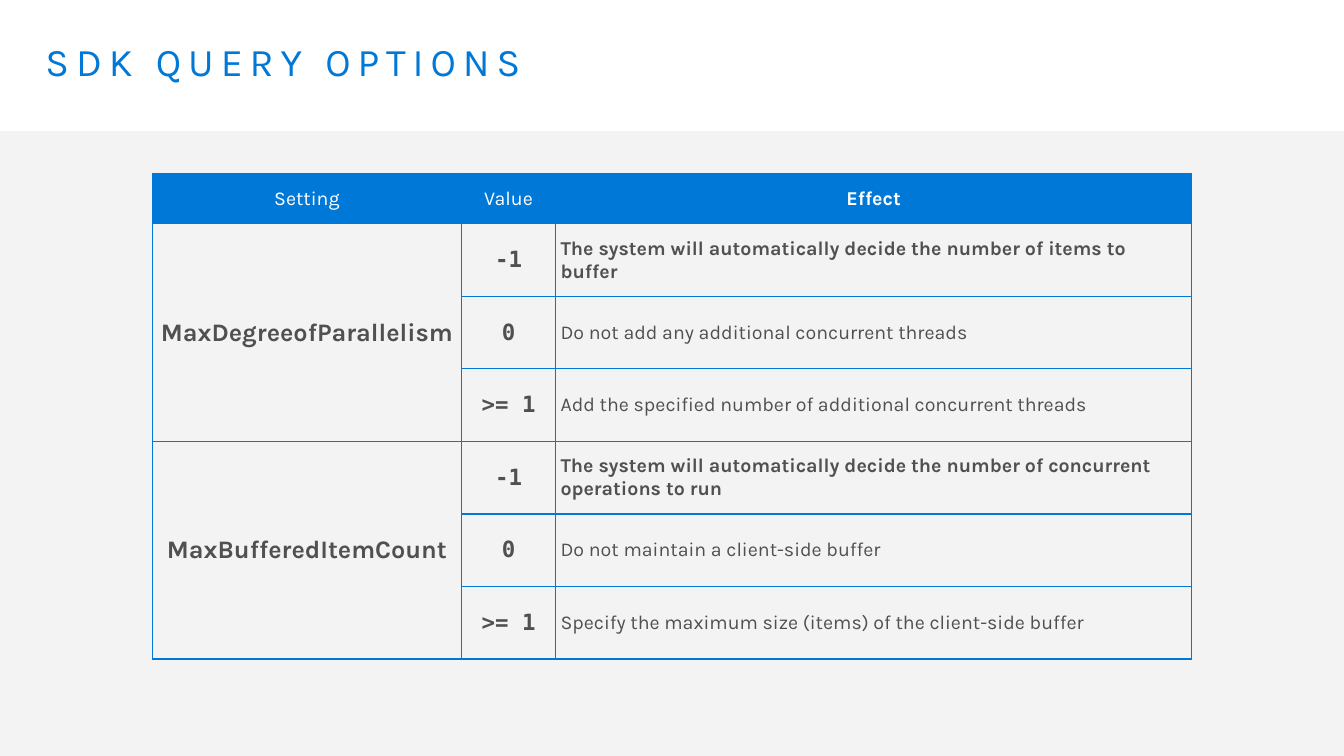
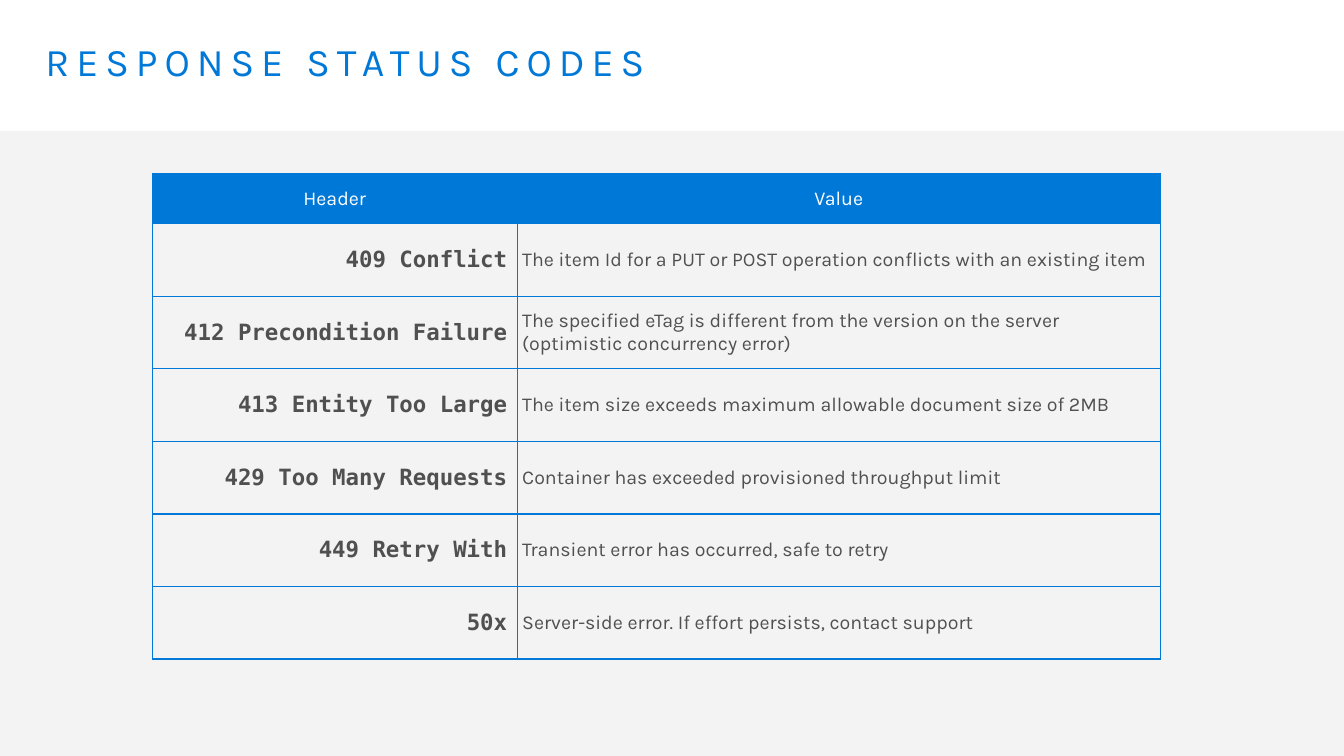
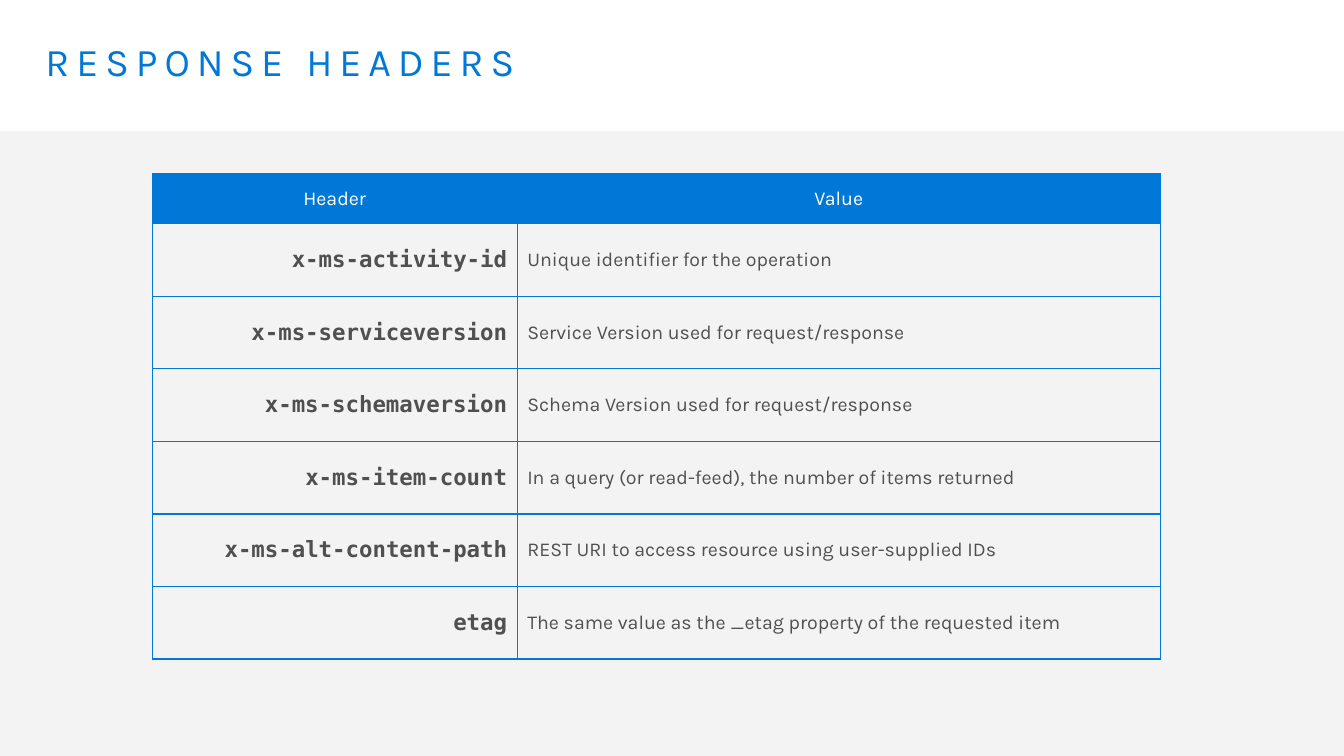
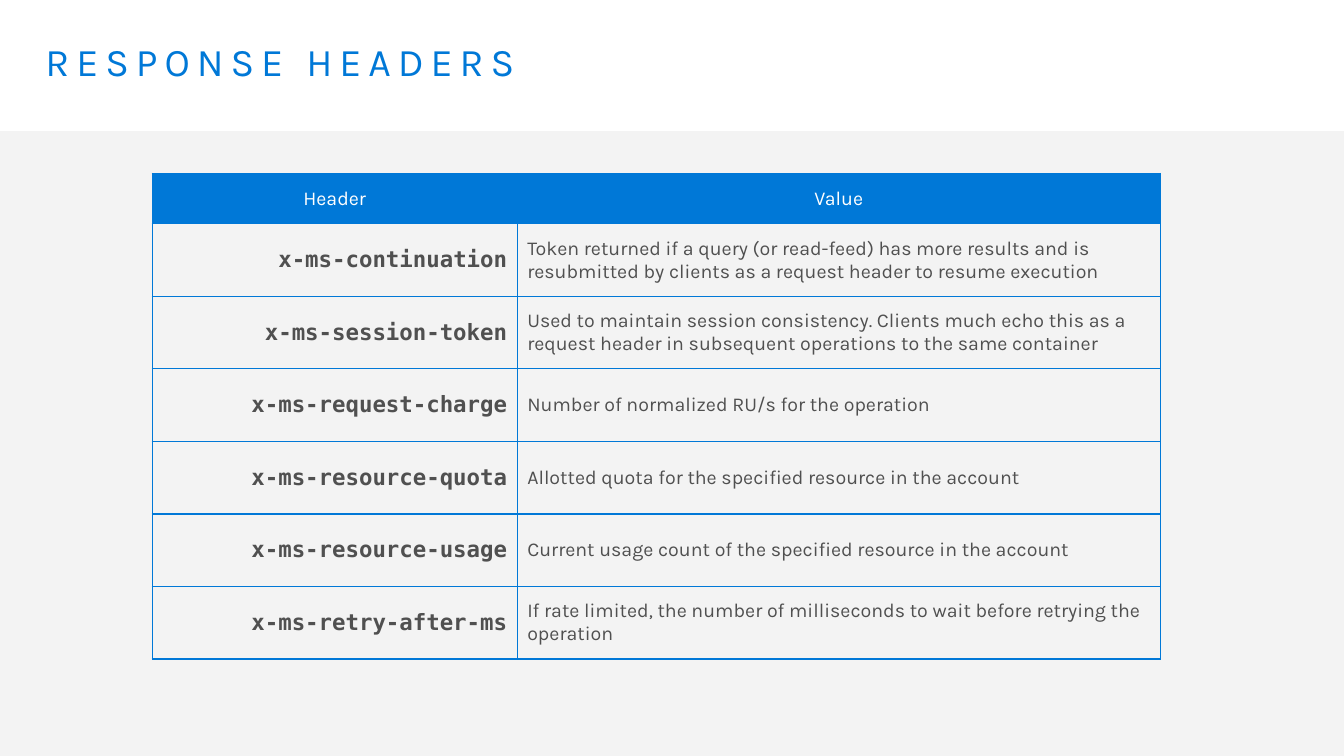
import pptx
import pptx.dml.color
import pptx.enum.shapes
import pptx.enum.text
import pptx.oxml
import pptx.oxml.ns
import pptx.util

Inches = pptx.util.Inches
Pt = pptx.util.Pt
RGBColor = pptx.dml.color.RGBColor
ALIGN = pptx.enum.text.PP_ALIGN

# Shared colours and fonts
BLUE = RGBColor(0x00, 0x78, 0xD7)
GRAY = RGBColor(0x50, 0x50, 0x50)
PALE = RGBColor(0xF3, 0xF3, 0xF3)
WHITE = RGBColor(0xFF, 0xFF, 0xFF)
SANS = "Karla"
MONO = "DejaVu Sans Mono"

# Text formats: font values, then colour
TITLE = {"name": SANS, "size": Pt(28), "bold": False}, BLUE
HEAD = {"name": SANS, "size": Pt(14), "bold": False}, WHITE
HEAD_BOLD = {"name": SANS, "size": Pt(14), "bold": True}, WHITE
SETTING = {"name": SANS, "size": Pt(18), "bold": True}, GRAY
CODE = {"name": MONO, "size": Pt(16), "bold": True}, GRAY
BODY = {"name": SANS, "size": Pt(14), "bold": False}, GRAY
BODY_BOLD = {"name": SANS, "size": Pt(14), "bold": True}, GRAY

# Table geometry, in inches
TABLE_LEFT, TABLE_TOP = 1.51, 1.72
HEAD_HEIGHT, ROW_HEIGHT = 0.5, 0.72
NARROW, WIDE = 0.05, 0.1

OPTIONS = [
    ("MaxDegreeofParallelism", [
        ("-1", "The system will automatically decide the number of items to buffer"),
        ("0", "Do not add any additional concurrent threads"),
        (">= 1", "Add the specified number of additional concurrent threads"),
    ]),
    ("MaxBufferedItemCount", [
        ("-1", "The system will automatically decide the number of concurrent operations to run"),
        ("0", "Do not maintain a client-side buffer"),
        (">= 1", "Specify the maximum size (items) of the client-side buffer"),
    ]),
]

STATUS_CODES = [
    ("409 Conflict", "The item Id for a PUT or POST operation conflicts with an existing item"),
    ("412 Precondition Failure", "The specified eTag is different from the version on the server "
                                 "(optimistic concurrency error)"),
    ("413 Entity Too Large", "The item size exceeds maximum allowable document size of 2MB"),
    ("429 Too Many Requests", "Container has exceeded provisioned throughput limit"),
    ("449 Retry With", "Transient error has occurred, safe to retry"),
    ("50x", "Server-side error. If effort persists, contact support"),
]

ITEM_HEADERS = [
    ("x-ms-activity-id", "Unique identifier for the operation"),
    ("x-ms-serviceversion", "Service Version used for request/response"),
    ("x-ms-schemaversion", "Schema Version used for request/response"),
    ("x-ms-item-count", "In a query (or read-feed), the number of items returned"),
    ("x-ms-alt-content-path", "REST URI to access resource using user-supplied IDs"),
    ("etag", "The same value as the _etag property of the requested item"),
]

USAGE_HEADERS = [
    ("x-ms-continuation", "Token returned if a query (or read-feed) has more results and is "
                          "resubmitted by clients as a request header to resume execution"),
    ("x-ms-session-token", "Used to maintain session consistency. Clients much echo this as a "
                           "request header in subsequent operations to the same container"),
    ("x-ms-request-charge", "Number of normalized RU/s for the operation"),
    ("x-ms-resource-quota", "Allotted quota for the specified resource in the account"),
    ("x-ms-resource-usage", "Current usage count of the specified resource in the account"),
    ("x-ms-retry-after-ms", "If rate limited, the number of milliseconds to wait before "
                            "retrying the operation"),
]


def write(p, text, fmt, align=ALIGN.LEFT):
    """Put one formatted run in a paragraph."""
    values, color = fmt
    p.alignment = align
    r = p.add_run()
    r.text = text
    for key, value in values.items():
        setattr(r.font, key, value)
    r.font.color.rgb = color
    return r


def add_slide(prs, title):
    """Add a slide with the gray content band and the spaced title."""
    s = prs.slides.add_slide(prs.slide_layouts[6])
    band = s.shapes.add_shape(pptx.enum.shapes.MSO_SHAPE.RECTANGLE,
                              0, Inches(1.3), prs.slide_width, Inches(6.2))
    band.shadow.inherit = False
    band.fill.solid()
    band.fill.fore_color.rgb = PALE
    band.line.fill.background()

    tf = s.shapes.add_textbox(Inches(0.29), Inches(0.32), Inches(12.75), Inches(0.98)).text_frame
    frame = {"word_wrap": True, "margin_left": Inches(0.16), "margin_right": Inches(0.16),
             "margin_top": Inches(0.1), "margin_bottom": Inches(0.1)}
    for key, value in frame.items():
        setattr(tf, key, value)
    p = tf.paragraphs[0]
    p.line_spacing = 0.9
    r = write(p, title, TITLE)
    r._r.get_or_add_rPr().set("spc", "500")
    return s


def add_borders(cell):
    """Draw a 1 pt blue line on all four sides."""
    for side in ("lnL", "lnR", "lnT", "lnB"):
        cell._tc.get_or_add_tcPr().append(pptx.oxml.parse_xml(
            f'<a:{side} {pptx.oxml.ns.nsdecls("a")} w="{Pt(1)}">'
            f'<a:solidFill><a:srgbClr val="{BLUE}"/></a:solidFill></a:{side}>'))


def add_grid(s, widths, rows):
    """Add a bordered table whose first row is blue."""
    height = HEAD_HEIGHT + ROW_HEIGHT * (rows - 1)
    table = s.shapes.add_table(rows, len(widths), Inches(TABLE_LEFT), Inches(TABLE_TOP),
                               Inches(sum(widths)), Inches(height)).table
    table.horz_banding = False
    for column, width in zip(table.columns, widths):
        column.width = Inches(width)
    for i, row in enumerate(table.rows):
        row.height = Inches(ROW_HEIGHT if i else HEAD_HEIGHT)
        for cell in row.cells:
            add_borders(cell)
            if i:
                cell.fill.background()
            else:
                cell.fill.solid()
                cell.fill.fore_color.rgb = BLUE
    return table


def fill_cell(cell, text, fmt, align=ALIGN.CENTER, margin=NARROW):
    layout = {"vertical_anchor": pptx.enum.text.MSO_ANCHOR.MIDDLE,
              "margin_left": Inches(margin), "margin_right": Inches(margin),
              "margin_top": Inches(NARROW), "margin_bottom": Inches(NARROW)}
    for key, value in layout.items():
        setattr(cell, key, value)
    write(cell.text_frame.paragraphs[0], text, fmt, align)


def add_options_table(s, groups):
    """Add settings that each span the rows of their values."""
    table = add_grid(s, [3.07, 0.93, 6.31], 1 + sum(len(values) for _, values in groups))
    for c, (text, fmt) in enumerate([("Setting", HEAD), ("Value", HEAD), ("Effect", HEAD_BOLD)]):
        fill_cell(table.cell(0, c), text, fmt)
    top = 1
    for setting, values in groups:
        table.cell(top, 0).merge(table.cell(top + len(values) - 1, 0))
        fill_cell(table.cell(top, 0), setting, SETTING)
        for i, (value, effect) in enumerate(values):
            fill_cell(table.cell(top + i, 1), value, CODE)
            fill_cell(table.cell(top + i, 2), effect, BODY if i else BODY_BOLD, ALIGN.LEFT)
        top += len(values)


def add_header_table(s, pairs, margin=WIDE):
    """Add right-aligned codes with their descriptions."""
    table = add_grid(s, [3.62, 6.38], 1 + len(pairs))
    for c, text in enumerate(["Header", "Value"]):
        fill_cell(table.cell(0, c), text, HEAD)
    for i, (code, meaning) in enumerate(pairs, 1):
        fill_cell(table.cell(i, 0), code, CODE, ALIGN.RIGHT, WIDE)
        fill_cell(table.cell(i, 1), meaning, BODY, ALIGN.LEFT, margin)


def main():
    prs = pptx.Presentation()
    prs.slide_width, prs.slide_height = Inches(13.33), Inches(7.5)

    add_options_table(add_slide(prs, "SDK QUERY OPTIONS"), OPTIONS)
    add_header_table(add_slide(prs, "RESPONSE STATUS CODES"), STATUS_CODES, NARROW)
    for pairs in (ITEM_HEADERS, USAGE_HEADERS):
        add_header_table(add_slide(prs, "RESPONSE HEADERS"), pairs)

    prs.save("out.pptx")


if __name__ == "__main__":
    main()
